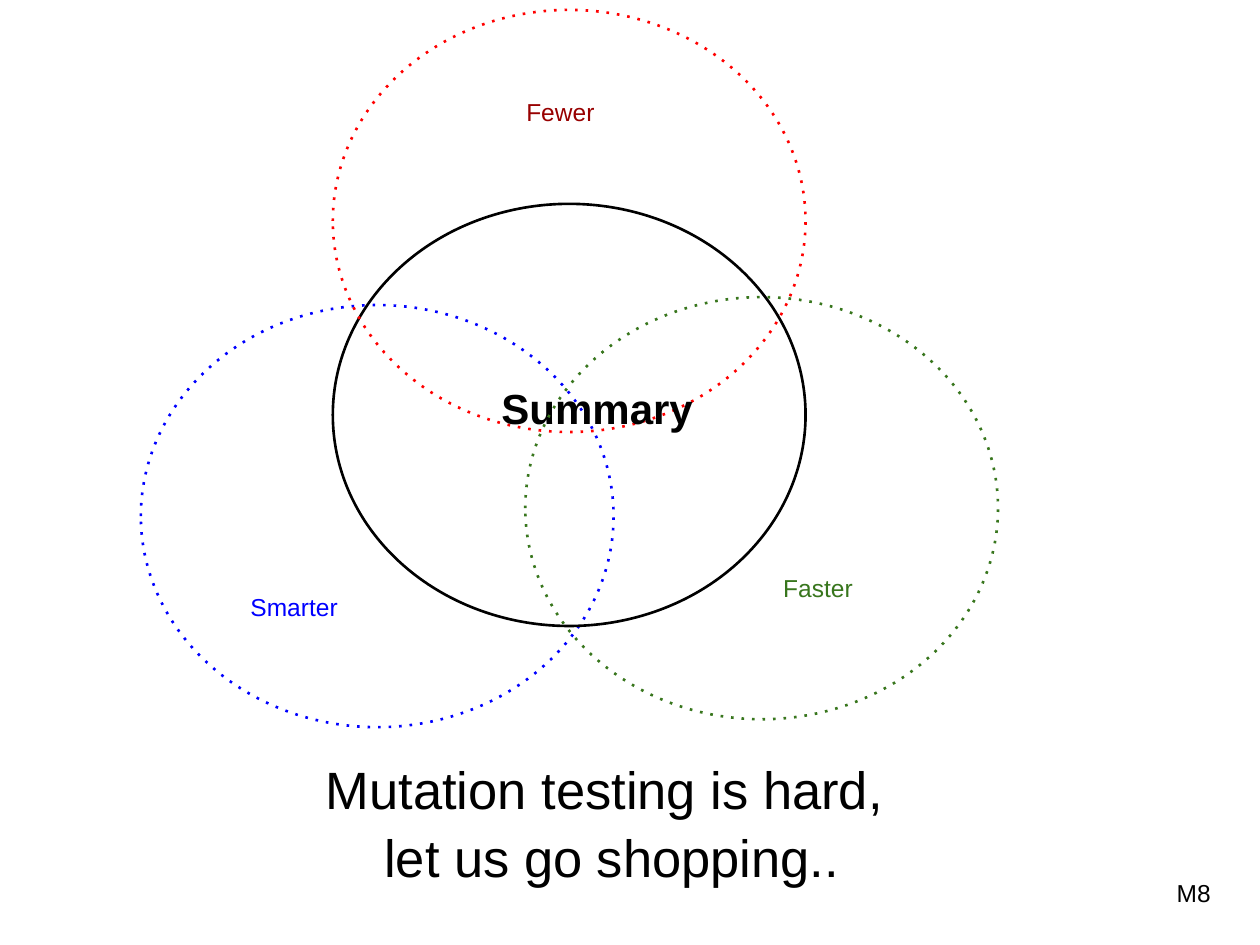
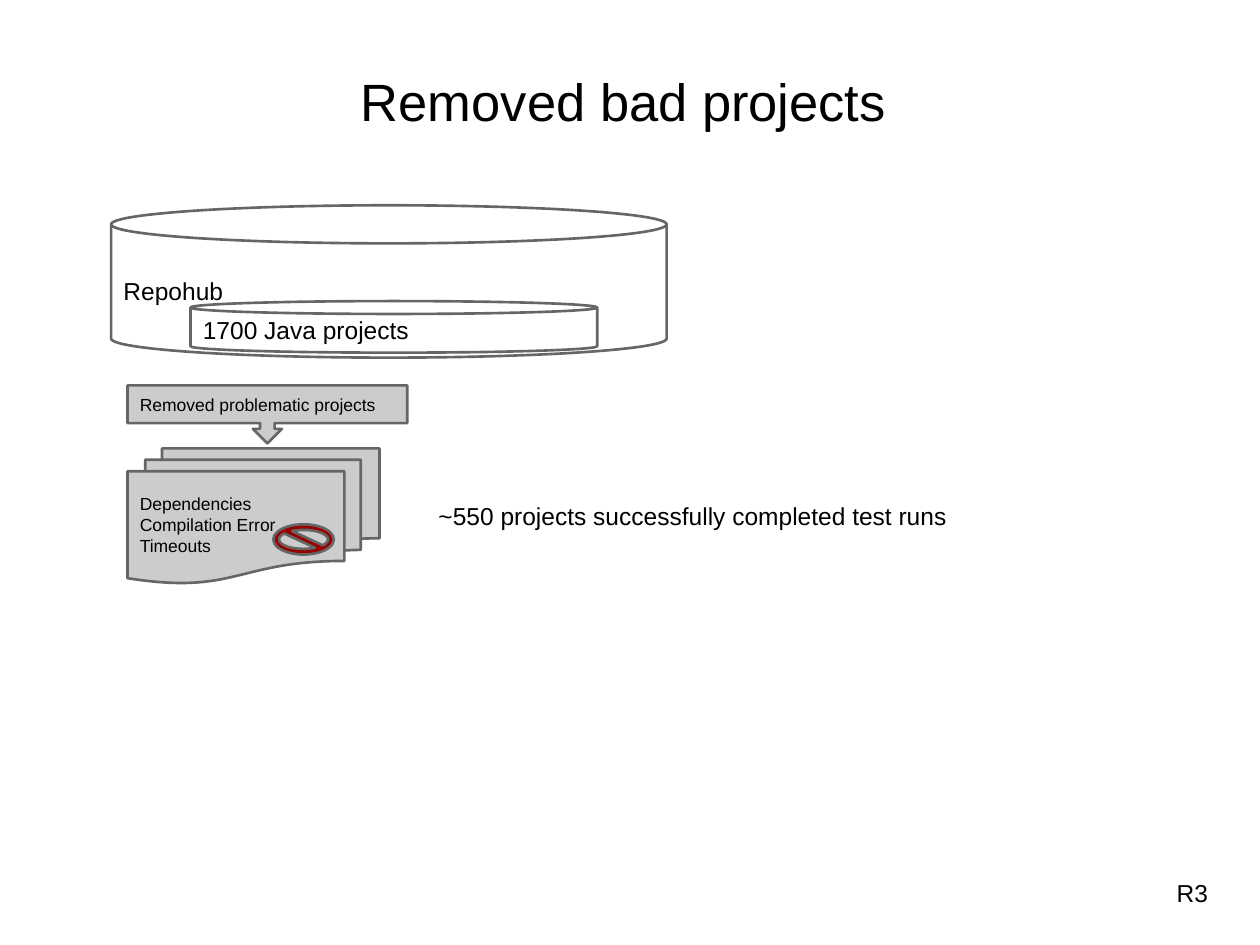
from dataclasses import dataclass

from pptx import Presentation
from pptx.dml.color import RGBColor
from pptx.enum.dml import MSO_LINE
from pptx.enum.shapes import MSO_SHAPE
from pptx.enum.text import MSO_ANCHOR, PP_ALIGN
from pptx.oxml.ns import qn
from pptx.util import Cm, Pt

OVAL, CAN = MSO_SHAPE.OVAL, MSO_SHAPE.CAN
DOCUMENTS = MSO_SHAPE.FLOWCHART_MULTIDOCUMENT
CALLOUT = MSO_SHAPE.DOWN_ARROW_CALLOUT
NO_SYMBOL = MSO_SHAPE.NO_SYMBOL
LEFT, CENTER = PP_ALIGN.LEFT, PP_ALIGN.CENTER
TOP, MIDDLE = MSO_ANCHOR.TOP, MSO_ANCHOR.MIDDLE
DOTTED = MSO_LINE.ROUND_DOT


@dataclass(frozen=True)
class Theme:
    font: str = "Arial"
    black: str = "000000"
    white: str = "FFFFFF"
    red: str = "FF0000"
    dark_red: str = "980000"
    green: str = "38761D"
    blue: str = "0000FF"
    gray: str = "666666"
    light_gray: str = "CCCCCC"
    title: int = 30
    heading: int = 24
    body: int = 14
    small: int = 10
    line: float = 1.5
    inset: float = 0.25


T = Theme()
CIRCLE_W, CIRCLE_H = 9.53, 8.51
LABEL_W, LABEL_H = 2.97, 1.5


def write(s, text, size=T.body, color=T.black, bold=False, align=LEFT,
          anchor=TOP, before=0):
    tf = s.text_frame
    tf.word_wrap = True
    tf.vertical_anchor = anchor
    tf.margin_left = tf.margin_right = Cm(T.inset)
    tf.margin_top = tf.margin_bottom = Cm(T.inset)
    for i, line in enumerate(text.split("\n")):
        p = tf.add_paragraph() if i else tf.paragraphs[0]
        p.alignment = align
        p.space_before = Pt(before)
        r = p.add_run()
        r.text = line
        r.font.name = T.font
        r.font.size = Pt(size)
        r.font.bold = bold
        r.font.color.rgb = RGBColor.from_string(color)


def add_text(slide, text, x, y, w, h, **fmt):
    s = slide.shapes.add_textbox(Cm(x), Cm(y), Cm(w), Cm(h))
    write(s, text, **fmt)


def add_title(slide, text, x, y, w):
    add_text(slide, text, x, y, w, 1.93, size=T.title, align=CENTER, before=3)


def add_page_code(slide, code):
    add_text(slide, code, 23.47, 17.45, 1.47, 1.17)


def add_figure(slide, kind, x, y, w, h, line=T.gray, fill=None, dotted=False,
               text=None, size=T.body):
    s = slide.shapes.add_shape(kind, Cm(x), Cm(y), Cm(w), Cm(h))
    s.shadow.inherit = False
    if fill:
        s.fill.solid()
        s.fill.fore_color.rgb = RGBColor.from_string(fill)
    else:
        s.fill.background()
    s.line.color.rgb = RGBColor.from_string(line)
    s.line.width = Pt(T.line)
    if dotted:
        s.line.dash_style = DOTTED
        s.element.spPr.find(qn("a:ln")).find(qn("a:prstDash")).set("val", "dot")
    if text:
        write(s, text, size=size, anchor=MIDDLE)


def add_circle(slide, x, y, color, dotted=True):
    add_figure(slide, OVAL, x, y, CIRCLE_W, CIRCLE_H, line=color, dotted=dotted)


def build_summary(slide):
    add_circle(slide, 2.84, 6.15, T.blue)
    add_circle(slide, 6.71, 4.11, T.black, dotted=False)
    add_circle(slide, 6.71, 0.2, T.red)
    add_title(slide, "Mutation testing is hard, \nlet us go shopping..",
              1.22, 15.01, 22.23)
    add_text(slide, "Summary", 9.86, 7.47, 4.5, 1.27, size=T.heading, bold=True)
    add_circle(slide, 10.59, 5.99, T.green)
    for name, x, y, color in (("Fewer", 10.36, 1.7, T.dark_red),
                              ("Faster", 15.54, 11.3, T.green),
                              ("Smarter", 4.8, 11.68, T.blue)):
        add_text(slide, name, x, y, LABEL_W, LABEL_H, color=color)
    add_page_code(slide, "M8")


def build_projects(slide):
    add_title(slide, "Removed bad projects", 1.14, 1.14, 22.86)
    add_page_code(slide, "R3")
    add_figure(slide, CAN, 2.24, 4.14, 11.2, 3.07, text="Repohub")
    add_figure(slide, CAN, 3.84, 6.07, 8.2, 1.04, fill=T.white,
               text="1700 Java projects")
    add_figure(slide, DOCUMENTS, 2.57, 9.04, 5.08, 2.72, fill=T.light_gray,
               text="Dependencies\nCompilation Error\nTimeouts", size=T.small)
    add_figure(slide, CALLOUT, 2.57, 7.77, 5.64, 1.17, fill=T.light_gray,
               text="Removed problematic projects", size=T.small)
    add_figure(slide, NO_SYMBOL, 5.51, 10.57, 1.22, 0.61, fill=T.dark_red)
    add_text(slide, "~550 projects successfully completed test runs",
             8.59, 9.86, 12.45, 1.04)


def main():
    prs = Presentation()
    prs.slide_width, prs.slide_height = Cm(25.4), Cm(19.05)
    blank = prs.slide_layouts[6]
    for build in (build_summary, build_projects):
        build(prs.slides.add_slide(blank))
    prs.save("out.pptx")


if __name__ == "__main__":
    main()
